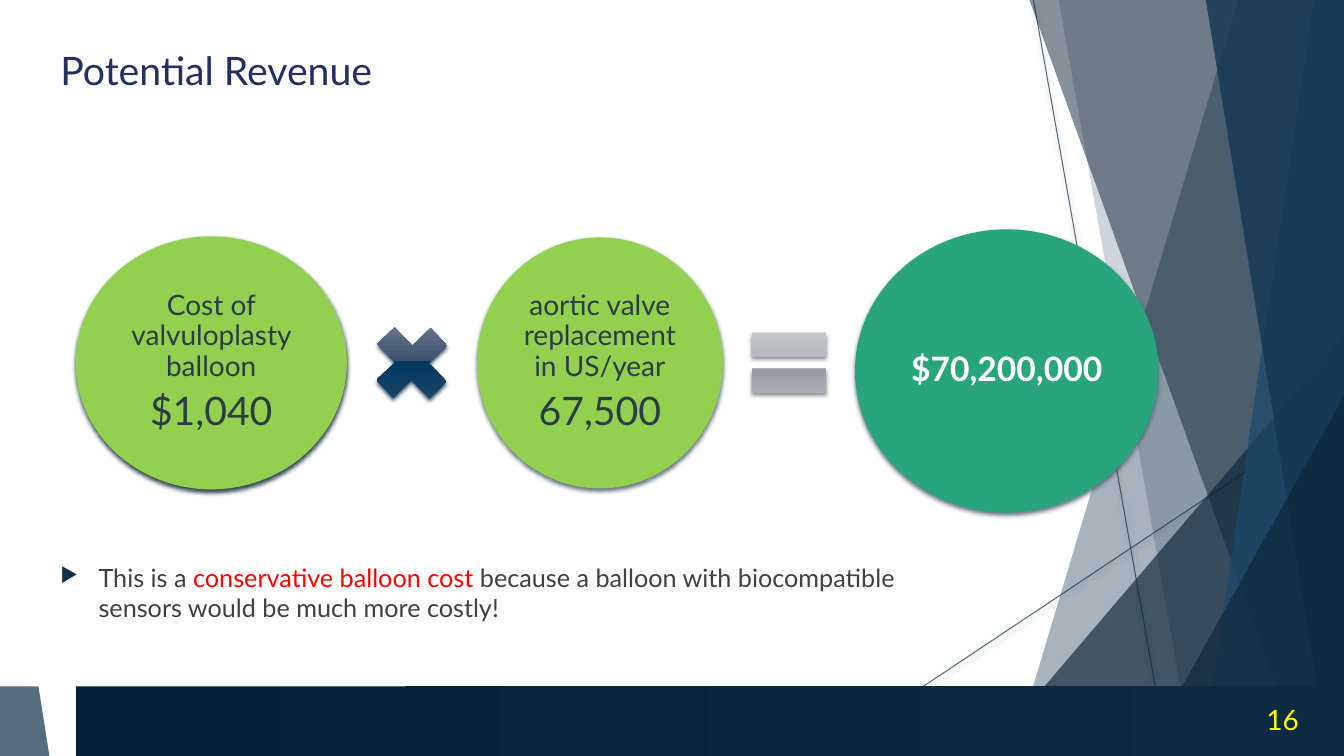
from lxml import etree
from pptx import Presentation
from pptx.dml.color import RGBColor
from pptx.enum.shapes import MSO_CONNECTOR, MSO_SHAPE
from pptx.enum.text import MSO_ANCHOR, PP_ALIGN
from pptx.oxml.ns import qn
from pptx.util import Inches, Pt

W, H = 13.33, 7.5
FONT = "Lato"
NAVY, DEEP = "103149", "0C2537"
LIME, TEAL, SLATE = "92D050", "29A57D", "2C3C43"
OVAL, RECT, TRIANGLE = MSO_SHAPE.OVAL, MSO_SHAPE.RECTANGLE, MSO_SHAPE.ISOSCELES_TRIANGLE
PLUS, EQUAL = MSO_SHAPE.MATH_PLUS, MSO_SHAPE.MATH_EQUAL
STRAIGHT = MSO_CONNECTOR.STRAIGHT
CENTER, RIGHT = PP_ALIGN.CENTER, PP_ALIGN.RIGHT
TOP, MIDDLE = MSO_ANCHOR.TOP, MSO_ANCHOR.MIDDLE


def rgb(value):
    return RGBColor.from_string(value)


def child(parent, tag, **attrs):
    return etree.SubElement(parent, qn(tag), {k: str(v) for k, v in attrs.items()})


def add_color(parent, color, alpha=100):
    clr = child(parent, "a:srgbClr", val=color)
    if alpha < 100:
        child(clr, "a:alpha", val=alpha * 1000)


def set_alpha(fill_element, alpha):
    child(fill_element.find(".//" + qn("a:srgbClr")), "a:alpha", val=alpha * 1000)


def paint(sp, color, alpha=100):
    sp.shadow.inherit = False
    sp.line.fill.background()
    sp.fill.solid()
    sp.fill.fore_color.rgb = rgb(color)
    if alpha < 100:
        set_alpha(sp._element.spPr.find(qn("a:solidFill")), alpha)


def paint_gradient(sp, stops, angle):
    paint(sp, stops[0][1])
    solid = sp._element.spPr.find(qn("a:solidFill"))
    grad = etree.Element(qn("a:gradFill"), rotWithShape="0")
    gs_lst = child(grad, "a:gsLst")
    for pos, color in stops:
        add_color(child(gs_lst, "a:gs", pos=pos * 1000), color)
    child(grad, "a:lin", ang=angle * 60000, scaled=0)
    solid.getparent().replace(solid, grad)


def add_shadow(sp, color, alpha, blur):
    spPr = sp._element.spPr
    effects = spPr.find(qn("a:effectLst"))
    if effects is None:
        effects = child(spPr, "a:effectLst")
    shadow = child(effects, "a:outerShdw", blurRad=Pt(blur), dist=Pt(2),
                   dir=90 * 60000, algn="ctr", rotWithShape=0)
    add_color(shadow, color, alpha)


def add_shape(s, kind, box):
    return s.shapes.add_shape(kind, *(Inches(v) for v in box))


def add_run(p, text, size, color, bold=False):
    r = p.add_run()
    r.text = text
    r.font.name, r.font.size, r.font.bold = FONT, Pt(size), bold
    r.font.color.rgb = rgb(color)


def set_frame(sp, anchor, inset=None):
    tf = sp.text_frame
    tf.word_wrap = True
    tf.vertical_anchor = anchor
    if inset is not None:
        tf.margin_left = tf.margin_right = tf.margin_top = tf.margin_bottom = Inches(inset)
    return tf


def facets(s):
    """Overlapping translucent panes along the right edge."""
    for x1, y1, x2, y2 in [(10.25, 0, 11.58, H), (W, 4.03, 8.12, H)]:
        line = s.shapes.add_connector(STRAIGHT, Inches(x1), Inches(y1), Inches(x2), Inches(y2))
        line.line.width = Pt(0.75)
        line.line.color.rgb = rgb(NAVY)
        set_alpha(line._element.spPr.find(qn("a:ln")), 70)
        add_shadow(line, "011E34", 38, 4)

    def pane(x_top, x_bottom, color, alpha):
        fb = s.shapes.build_freeform(Inches(x_top), 0)
        corners = [(W, 0), (W, H), (x_bottom, H)]
        fb.add_line_segments([(Inches(x), Inches(y)) for x, y in corners], close=True)
        paint(fb.convert_to_shape(), color, alpha)

    def wedge(x, y, width, apex, color, alpha):
        sp = add_shape(s, TRIANGLE, (x, y, width, H - y))
        sp.adjustments[0] = apex
        paint(sp, color, alpha)

    pane(12.28, 10.04, NAVY, 36)
    pane(10.5, 11.83, NAVY, 20)
    wedge(9.77, 3.33, W - 9.77, 1, DEEP, 66)
    pane(10.21, 12.91, DEEP, 50)
    pane(13.03, 11.92, "19496D", 70)
    pane(11.96, 13.18, "133752", 80)
    wedge(11.34, 3.93, W - 11.34, 1, DEEP, 66)
    wedge(0, 4.39, 0.49, 0, NAVY, 70)


def footer(s, x, y, number):
    """Dark band with the slide number; a white block trims the left wedge."""
    band = add_shape(s, RECT, (x, y, W - x, H - y))
    paint_gradient(band, [(0, "0E2B41"), (100, "032239")], 180)
    paint(add_shape(s, RECT, (0, y - 2.53, 4.02, 2.53)), "FFFFFF")
    box = s.shapes.add_textbox(Inches(12.23), Inches(y + 0.13), Inches(0.75), Inches(0.4))
    p = set_frame(box, MIDDLE).paragraphs[0]
    p.alignment = RIGHT
    add_run(p, number, 20, "FFFF00")


def title(s, box, text):
    sp = s.shapes.title
    sp.left, sp.top, sp.width, sp.height = (Inches(v) for v in box)
    p = set_frame(sp, TOP).paragraphs[0]
    p.alignment = PP_ALIGN.LEFT
    add_run(p, text, 28, "222F63")


def note(s, box, runs):
    """Bulleted remark below the equation."""
    tf = set_frame(s.shapes.add_textbox(*(Inches(v) for v in box)), TOP)
    p = tf.paragraphs[0]
    pPr = p._p.get_or_add_pPr()
    pPr.set("marL", str(Inches(0.38)))
    pPr.set("indent", str(-Inches(0.38)))
    add_color(child(pPr, "a:buClr"), NAVY)
    child(pPr, "a:buSzPct", val=80000)
    child(pPr, "a:buChar", char="▶")
    for text, color in runs:
        add_run(p, text, 18, color)


def equation(s, mid_y):
    """Two factors and their product, joined by operator signs."""
    def circle(x, width, height, dy, fill, shadow, lines):
        sp = add_shape(s, OVAL, (x, mid_y + dy - height / 2, width, height))
        paint(sp, fill)
        add_shadow(sp, shadow, 83, 3.1)
        tf = set_frame(sp, MIDDLE, 0.03)
        for i, (text, size, color, bold) in enumerate(lines):
            p = tf.add_paragraph() if i else tf.paragraphs[0]
            p.alignment = CENTER
            p.line_spacing = 0.9
            p.space_after = Pt(0.35 * size)
            add_run(p, text, size, color, bold)

    def operator(kind, x, rotation, shadow, colors):
        size = 1.01
        sp = add_shape(s, kind, (x, mid_y - size / 2, size, size))
        sp.rotation = rotation
        paint_gradient(sp, list(zip((0, 49, 49, 92, 100), colors)), 90)
        add_shadow(sp, shadow, 83, 3.1)

    circle(0.75, 2.69, 2.51, 0, LIME, "0B2132",
           [("Cost of valvuloplasty balloon", 20, SLATE, False), ("$1,040", 28, SLATE, False)])
    operator(PLUS, 3.58, 46.2, "0F2B40", ("8F97A2", "3B526E", "033860", "284C71", "596C86"))
    circle(4.73, 2.44, 2.49, 0, LIME, "4F5D6D",
           [("aortic valve replacement in US/year", 20, SLATE, False), ("67,500", 28, SLATE, False)])
    operator(EQUAL, 7.32, 0, "75787B", ("D1D4D8", "B2B6BC", "90959C", "B5BAC2", "C1C6CD"))
    circle(8.48, 3.01, 2.81, 0.08, TEAL, "4F5D6D", [("$70,200,000", 24, "FFFFFF", True)])


def main():
    prs = Presentation()
    prs.slide_width, prs.slide_height = Inches(W), Inches(H)
    s = prs.slides.add_slide(prs.slide_layouts[5])
    facets(s)
    footer(s, 0.75, 6.81, "16")
    title(s, (0.5, 0.41, 9, 1.25), "Potential Revenue")
    note(s, (0.5, 5.53, 9, 1.53), [
        ("This is a ", "404040"),
        ("conservative balloon cost ", "FF0000"),
        ("because a balloon with biocompatible sensors would be much more costly!", "404040"),
    ])
    equation(s, 3.6)
    prs.save("out.pptx")


if __name__ == "__main__":
    main()
